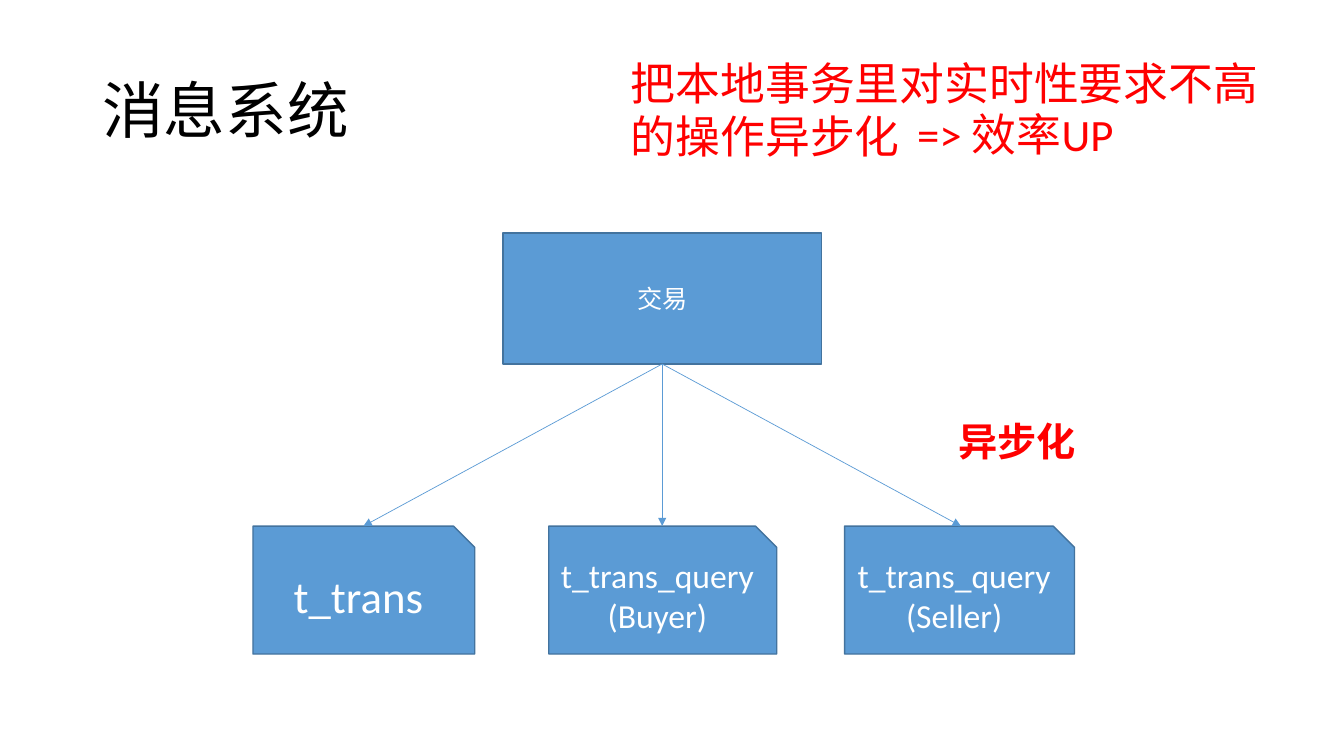
from pptx import Presentation
from pptx.dml.color import RGBColor
from pptx.enum.shapes import MSO_CONNECTOR, MSO_SHAPE
from pptx.enum.text import MSO_ANCHOR, MSO_AUTO_SIZE, PP_ALIGN
from pptx.oxml.ns import qn
from pptx.util import Pt
from lxml import etree

RECT = MSO_SHAPE.RECTANGLE
SNIP = MSO_SHAPE.SNIP_1_RECTANGLE
LINE = MSO_CONNECTOR.STRAIGHT
MIDDLE = MSO_ANCHOR.MIDDLE
CENTER = PP_ALIGN.CENTER
GROW = MSO_AUTO_SIZE.SHAPE_TO_FIT_TEXT

BLACK = RGBColor(0, 0, 0)
WHITE = RGBColor(255, 255, 255)
RED = RGBColor(255, 0, 0)
BLUE = RGBColor(0x5B, 0x9B, 0xD5)
EDGE = RGBColor(0x43, 0x73, 0x9E)

deck = Presentation()
deck.slide_width, deck.slide_height = Pt(960), Pt(540)
slide = deck.slides.add_slide(deck.slide_layouts[6])
shapes = slide.shapes


def write(shape, text, size, color):
    frame = shape.text_frame
    frame.text = text
    for para in frame.paragraphs:
        para.font.name = "Calibri"
        para.font.size = Pt(size)
        para.font.color.rgb = color
    return frame


def add_box(kind, left, top, width, height, text, size):
    box = shapes.add_shape(kind, Pt(left), Pt(top), Pt(width), Pt(height))
    box.shadow.inherit = False
    box.fill.solid()
    box.fill.fore_color.rgb = BLUE
    box.line.color.rgb = EDGE
    box.line.width = Pt(1)
    frame = write(box, text, size, WHITE)
    frame.vertical_anchor = MIDDLE
    frame.paragraphs[0].alignment = CENTER


title = shapes.add_textbox(Pt(66), Pt(28.8), Pt(828), Pt(104.4))
frame = write(title, "消息系统", 44, BLACK)
frame.word_wrap = True
frame.vertical_anchor = MIDDLE
frame.paragraphs[0].line_spacing = 0.9

hub_x, hub_end, row_top = 473, 260, 375.8
add_box(RECT, 359.3, 166.4, 227.5, 93.6, "交易", 18)

tables = [
    ("t_trans", 32, 158.4),
    ("t_trans_query(Buyer)", 24, 162.8),
    ("t_trans_query(Seller)", 24, 164.2),
]
for i, (name, size, width) in enumerate(tables):
    add_box(SNIP, 180.7 + 211.3 * i, row_top, width, 91.4, name, size)
    tip = hub_x + 213.4 * (i - 1)
    arrow = shapes.add_connector(LINE, Pt(hub_x), Pt(hub_end), Pt(tip), Pt(row_top))
    arrow.line.color.rgb = BLUE
    arrow.line.width = Pt(0.5)
    etree.SubElement(arrow.line._get_or_add_ln(), qn("a:tailEnd"), type="triangle")
    etree.SubElement(arrow._element.spPr, qn("a:effectLst"))

notes = [
    ("异步化", 677.5, 294.5, 100, 41, 28, True, False),
    ("把本地事务里对实时性要求不高\n的操作异步化", 443.5, 36, 466.6, 85, 32, False, False),
    ("=> 效率UP", 648, 72.7, 213.8, 85, 32, False, True),
]
for text, left, top, width, height, size, bold, wrap in notes:
    note = shapes.add_textbox(Pt(left), Pt(top), Pt(width), Pt(height))
    frame = write(note, text, size, RED)
    frame.word_wrap = wrap
    frame.auto_size = GROW
    frame.paragraphs[0].font.bold = bold

deck.save("out.pptx")
